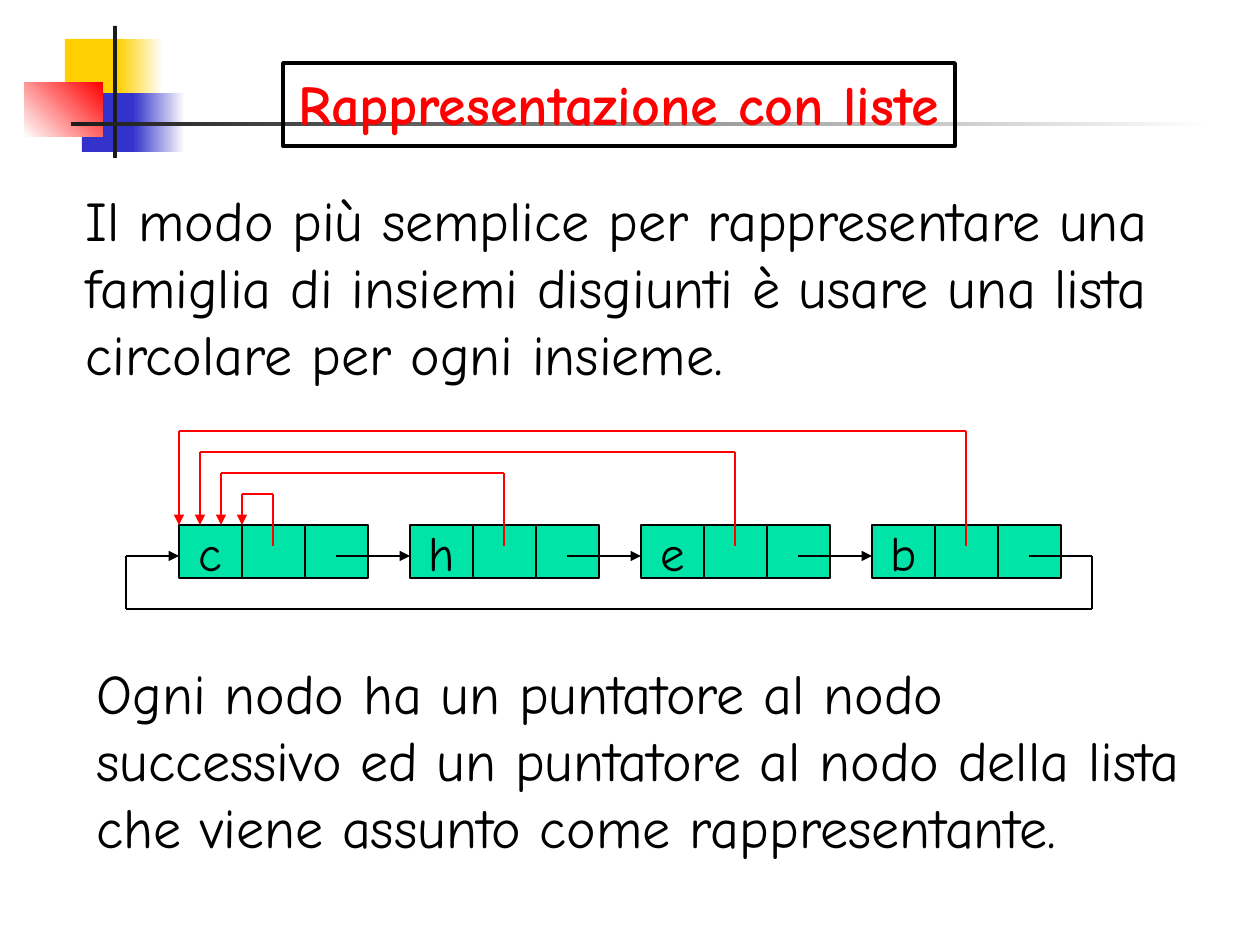
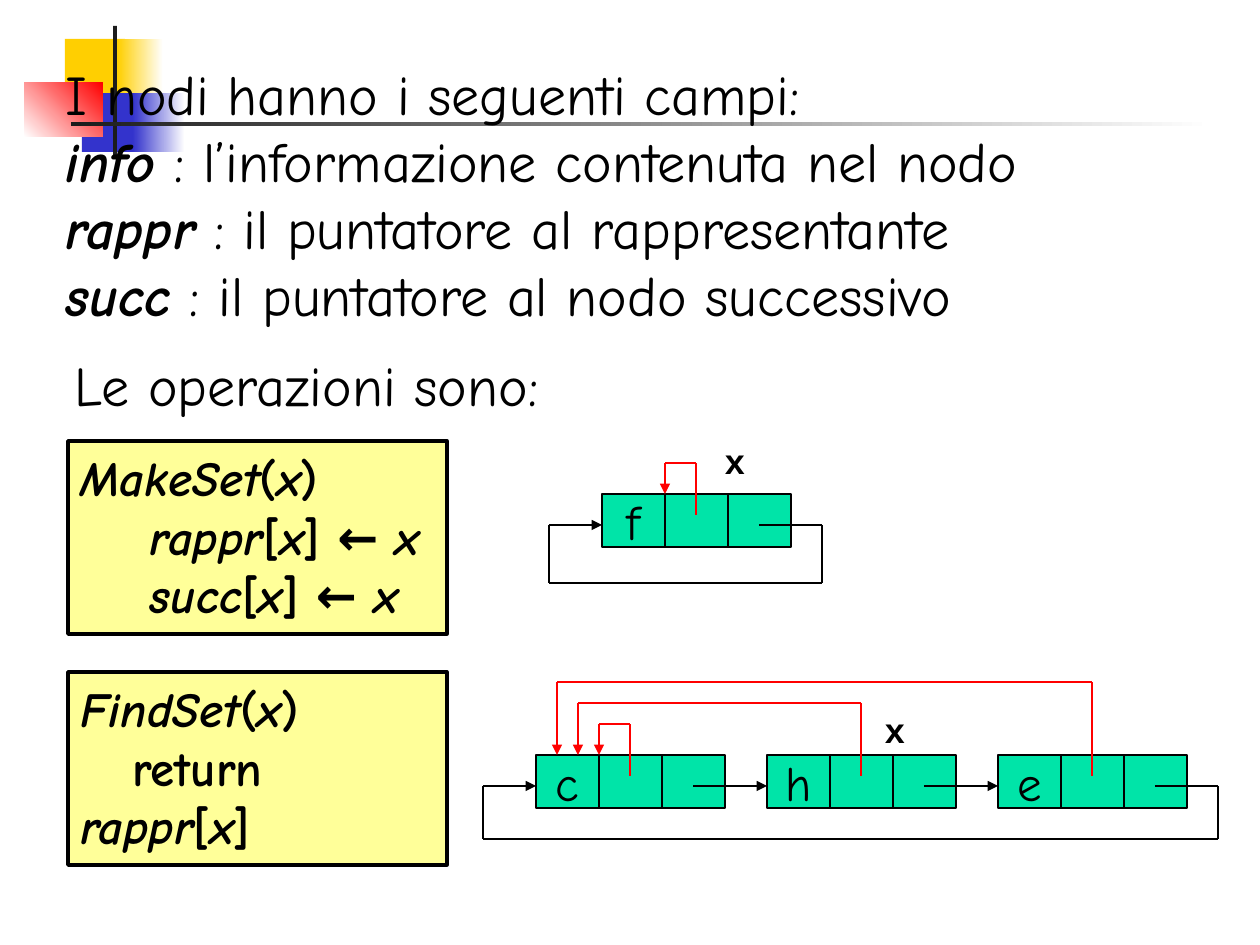
from itertools import pairwise

from lxml.etree import SubElement
from pptx import Presentation
from pptx.dml.color import RGBColor
from pptx.enum.shapes import MSO_CONNECTOR as Connector, MSO_SHAPE as Shape
from pptx.enum.text import MSO_ANCHOR as Anchor, MSO_AUTO_SIZE as AutoSize, PP_ALIGN as Align
from pptx.oxml.ns import qn
from pptx.util import Inches, Pt

PX = Inches(10) / 1260
BLACK, RED, WHITE = "000000", "FF0000", "FFFFFF"
YELLOW, BLUE, CHARCOAL = "FFCF01", "3333CC", "1C1C1C"
NODE_GREEN, CODE_YELLOW = "00E4A8", "FFFF99"
FONT, LABEL_FONT = "Comic Neue", "Courier New"
CELL_WIDTH, CELL_HEIGHT, NODE_PITCH, LANE = 63, 53, 231, 21


def emu(*lengths):
    """Turn px lengths into EMU."""
    return [round(length * PX) for length in lengths]


def rgb(color):
    """Turn a hex string into a colour."""
    return RGBColor.from_string(color)


def add_rect(page, box, fill, line=None, weight=0.75):
    """Add a rectangle with a plain fill and an optional outline."""
    rect = page.shapes.add_shape(Shape.RECTANGLE, *emu(*box))
    rect.shadow.inherit = False
    rect.fill.solid()
    rect.fill.fore_color.rgb = rgb(fill)
    if line:
        rect.line.color.rgb = rgb(line)
        rect.line.width = Pt(weight)
    else:
        rect.line.fill.background()
    return rect


def add_gradient(page, box, start, end, angle=0):
    """Add a borderless rectangle that fades between two colours."""
    rect = add_rect(page, box, start)
    rect.fill.gradient()
    rect.fill.gradient_angle = angle
    for stop, color in zip(rect.fill.gradient_stops, (start, end)):
        stop.color.rgb = rgb(color)


def add_route(page, points, color):
    """Join points with straight connectors and end in an arrowhead."""
    for start, end in pairwise(points):
        line = page.shapes.add_connector(Connector.STRAIGHT, *emu(*start, *end))
        line.line.color.rgb = rgb(color)
        line.line.width = Pt(0.75)
        properties = line.element.spPr
        SubElement(properties, qn("a:effectLst"))
    SubElement(properties.find(qn("a:ln")), qn("a:tailEnd"), type="triangle")


def place(shape, box):
    """Move a shape to a box given in px."""
    shape.left, shape.top, shape.width, shape.height = emu(*box)


def style(font, size, color=BLACK, name=FONT, bold=False, italic=False):
    """Set the look of a font."""
    font.name, font.size = name, Pt(size)
    font.bold, font.italic = bold, italic
    font.color.rgb = rgb(color)


def write(frame, lines, size, bold=False):
    """Write lines whose parts, split at bars, alternate italic and upright."""
    frame.word_wrap = True
    frame.auto_size = AutoSize.NONE
    frame.vertical_anchor = Anchor.TOP
    frame.text = "\n".join("" for _ in lines)
    for para, line in zip(frame.paragraphs, lines):
        properties = para._p.get_or_add_pPr()
        properties.set("marL", "0")
        properties.set("indent", "0")
        SubElement(properties, qn("a:buNone"))
        para.alignment = Align.LEFT
        para.space_before = Pt(0)
        for index, part in enumerate(line.split("|")):
            if part:
                span = para.add_run()
                span.text = part
                italic = index % 2 == 0
                style(span.font, size, bold=bold or italic, italic=italic)


def add_text(page, box, text):
    """Add a box of running text."""
    write(page.shapes.add_textbox(*emu(*box)).text_frame, ["|" + text], 32)


def add_code(page, box, lines):
    """Add a framed panel of pseudocode."""
    write(add_rect(page, box, CODE_YELLOW, BLACK, 2).text_frame, lines, 28, bold=True)


def add_pointer_label(page, left, top):
    """Add the x that names a node."""
    frame = page.shapes.add_textbox(*emu(left, top, 53, 54)).text_frame
    frame.word_wrap = True
    frame.text = "x"
    style(frame.paragraphs[0].runs[0].font, 20, name=LABEL_FONT, bold=True)


def add_node(page, left, top, letter):
    """Draw one list node: its letter and two pointer cells."""
    cells = [add_rect(page, (left + column * CELL_WIDTH, top, CELL_WIDTH, CELL_HEIGHT),
                      NODE_GREEN, BLACK) for column in range(3)]
    frame = cells[0].text_frame
    frame.word_wrap = False
    frame.vertical_anchor = Anchor.MIDDLE
    frame.text = letter
    para = frame.paragraphs[0]
    para.alignment = Align.CENTER
    style(para.runs[0].font, 28)


def add_circular_list(page, left, top, letters, loop_depth=84):
    """Draw a circular list with its successor and representative pointers."""
    middle = top + 31
    for index, letter in enumerate(letters):
        add_node(page, left + index * NODE_PITCH, top, letter)
    for index in range(len(letters)):
        node = left + index * NODE_PITCH
        source, target = node + 94, left + CELL_WIDTH - index * LANE
        lane = top - 31 - index * LANE
        add_route(page, [(source, top + 21), (source, lane), (target, lane), (target, top)], RED)
        if index < len(letters) - 1:
            add_route(page, [(node + 157, middle), (node + NODE_PITCH, middle)], BLACK)
    right, bottom, back = node + 220, top + loop_depth, left - 53
    add_route(page, [(node + 157, middle), (right, middle), (right, bottom),
                     (back, bottom), (back, middle), (left, middle)], BLACK)


def decorate(layout, page):
    """Draw the corner blocks and rule, and hand them to the layout."""
    add_rect(page, (65, 39, 60, 59), YELLOW)
    add_gradient(page, (118, 39, 45, 59), YELLOW, WHITE)
    add_rect(page, (82, 93, 59, 59), BLUE)
    add_gradient(page, (133, 93, 52, 59), BLUE, WHITE)
    add_gradient(page, (24, 83, 79, 54), WHITE, RED, 45)
    add_rect(page, (113, 26, 4, 132), CHARCOAL)
    add_gradient(page, (71, 122, 1141, 4), CHARCOAL, WHITE)
    for shape in list(page.shapes):
        if not shape.is_placeholder:
            layout.shapes.element.append(shape.element)


def fill_list_page(page):
    """Fill the slide that shows sets as circular lists."""
    title, body = page.placeholders
    place(title, (283, 63, 672, 83))
    title.line.color.rgb = rgb(BLACK)
    title.line.width = Pt(2)
    frame = title.text_frame
    frame.text = "Rappresentazione con liste"
    frame.auto_size = AutoSize.NONE
    frame.vertical_anchor = Anchor.TOP
    para = frame.paragraphs[0]
    para.alignment = Align.CENTER
    style(para.runs[0].font, 32, RED, bold=True)
    place(body, (73, 179, 1134, 214))
    write(body.text_frame, ["|Il modo più semplice per rappresentare una famiglia di insiemi "
                            "disgiunti è usare una lista circolare per ogni insieme."], 32)
    add_text(page, (84, 652, 1134, 214),
             "Ogni nodo ha un puntatore al nodo successivo ed un puntatore al nodo "
             "della lista che viene assunto come rappresentante.")
    add_circular_list(page, 179, 525, "cheb")


def fill_operations_page(page):
    """Fill the slide with the node fields and the two operations."""
    title, body = page.placeholders
    title.element.getparent().remove(title.element)
    place(body, (53, 53, 1124, 281))
    write(body.text_frame, ["|I nodi hanno i seguenti campi:",
                            "info| : l’informazione contenuta nel nodo",
                            "rappr| : il puntatore al rappresentante",
                            "succ| : il puntatore al nodo successivo"], 32)
    add_text(page, (62, 344, 1124, 79), "Le operazioni sono:")
    add_code(page, (68, 441, 379, 193),
             ["MakeSet|(|x|)", "    rappr|[|x|] ← |x", "    succ|[|x|] ← |x"])
    add_code(page, (68, 672, 379, 193), ["FindSet|(|x|)", "|   return |rappr|[|x|]"])
    add_circular_list(page, 536, 755, "che")
    add_pointer_label(page, 872, 702)
    add_circular_list(page, 602, 494, "f", loop_depth=89)
    add_pointer_label(page, 712, 433)


def main():
    """Build and save the deck."""
    deck = Presentation()
    deck.slide_width, deck.slide_height = emu(1260, 945)
    layout = deck.slide_layouts[1]
    pages = [deck.slides.add_slide(layout) for _ in range(2)]
    decorate(layout, pages[0])
    fill_list_page(pages[0])
    fill_operations_page(pages[1])
    deck.save("out.pptx")


if __name__ == "__main__":
    main()
